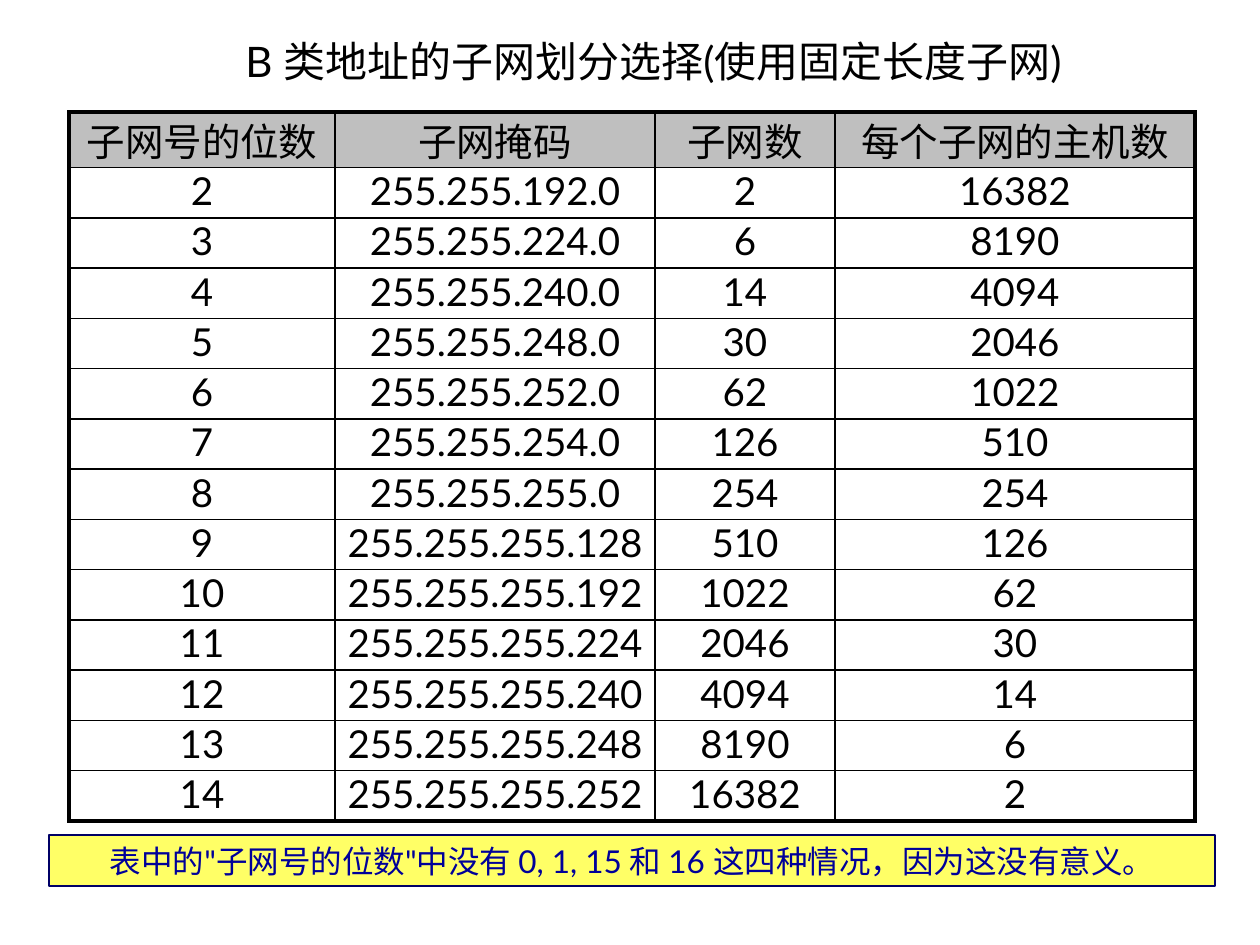
from dataclasses import dataclass

from lxml import etree
from pptx import Presentation
from pptx.dml.color import RGBColor
from pptx.enum.shapes import MSO_SHAPE
from pptx.enum.text import MSO_ANCHOR, MSO_AUTO_SIZE, PP_ALIGN
from pptx.oxml.ns import qn
from pptx.util import Pt

RECTANGLE = MSO_SHAPE.RECTANGLE
TOP, MIDDLE = MSO_ANCHOR.TOP, MSO_ANCHOR.MIDDLE
CENTER = PP_ALIGN.CENTER
NO_AUTOFIT = MSO_AUTO_SIZE.NONE
TITLE_ONLY = 5
EMU_PER_PX = 914400 // 126


@dataclass(frozen=True)
class Theme:
    font: str = "Lato"
    ink: str = "000000"
    header_fill: str = "BFBFBF"
    note_fill: str = "FFFF66"
    note_line: str = "000066"
    note_ink: str = "000099"
    title_size: int = 24
    table_size: int = 22
    note_size: int = 18
    inner_line: float = 1
    outer_line: float = 2.25
    note_line_width: float = 0.75


def px(length):
    return length * EMU_PER_PX


def rgb(value):
    return RGBColor.from_string(value)


def write_text(frame, text, *, font, size, color, align=CENTER):
    para = frame.paragraphs[0]
    para.alignment = align
    span = para.add_run()
    span.text = text
    span.font.name = font
    span.font.size = Pt(size)
    span.font.color.rgb = rgb(color)


def draw_border(cell, side, width, color):
    line = etree.SubElement(cell._tc.get_or_add_tcPr(), qn(f"a:ln{side}"), w=str(Pt(width)))
    fill = etree.SubElement(line, qn("a:solidFill"))
    etree.SubElement(fill, qn("a:srgbClr"), val=color)


class SlideBuilder:
    def __init__(self, page, theme):
        self.page = page
        self.theme = theme

    def place(self, box, left, top, width, height):
        box.left, box.top = px(left), px(top)
        box.width, box.height = px(width), px(height)

    def title(self, text, *area):
        box = self.page.shapes.title
        self.place(box, *area)
        frame = box.text_frame
        frame.word_wrap = True
        frame.auto_size = NO_AUTOFIT
        frame.vertical_anchor = MIDDLE
        write_text(frame, text, font=self.theme.font,
                   size=self.theme.title_size, color=self.theme.ink)

    def table(self, rows, left, top, widths, height):
        theme = self.theme
        last_row, last_column = len(rows) - 1, len(widths) - 1
        grid = self.page.shapes.add_table(
            len(rows), len(widths), px(left), px(top), px(sum(widths)), px(height)).table
        grid.first_row = grid.horz_banding = False
        for column, width in zip(grid.columns, widths):
            column.width = px(width)
        for i, values in enumerate(rows):
            grid.rows[i].height = px(height) // len(rows)
            for j, value in enumerate(values):
                cell = grid.cell(i, j)
                cell.margin_left = cell.margin_right = px(9)
                cell.margin_top = cell.margin_bottom = 0
                cell.vertical_anchor = TOP
                # Heavy frame around the grid, thin lines inside it
                outer = {"L": j == 0, "R": j == last_column,
                         "T": i == 0, "B": i == last_row}
                for side, is_outer in outer.items():
                    width = theme.outer_line if is_outer else theme.inner_line
                    draw_border(cell, side, width, theme.ink)
                if i == 0:
                    cell.fill.solid()
                    cell.fill.fore_color.rgb = rgb(theme.header_fill)
                else:
                    cell.fill.background()
                write_text(cell.text_frame, value, font=theme.font,
                           size=theme.table_size, color=theme.ink)

    def note(self, text, *area):
        theme = self.theme
        box = self.page.shapes.add_shape(RECTANGLE, *map(px, area))
        box.shadow.inherit = False
        box.fill.solid()
        box.fill.fore_color.rgb = rgb(theme.note_fill)
        box.line.color.rgb = rgb(theme.note_line)
        box.line.width = Pt(theme.note_line_width)
        frame = box.text_frame
        frame.word_wrap = True
        frame.vertical_anchor = MIDDLE
        write_text(frame, text, font=theme.font, size=theme.note_size, color=theme.note_ink)


def subnet_row(bits):
    """Bits, mask, subnets and hosts for a class B address."""
    mask = (0xFFFF << (16 - bits)) & 0xFFFF
    return (str(bits), f"255.255.{mask >> 8}.{mask & 255}",
            str(2 ** bits - 2), str(2 ** (16 - bits) - 2))


def main():
    deck = Presentation()
    deck.slide_width, deck.slide_height = px(1260), px(945)
    page = deck.slides.add_slide(deck.slide_layouts[TITLE_ONLY])
    builder = SlideBuilder(page, Theme())

    # Subnet choices
    header = ("子网号的位数", "子网掩码", "子网数", "每个子网的主机数")
    rows = [header] + [subnet_row(bits) for bits in range(2, 15)]
    builder.table(rows, 69, 112, (266, 320, 180, 360), 704)

    # Title
    builder.title("B 类地址的子网划分选择(使用固定长度子网)", 168, 29, 971, 63)

    # Note below the table
    builder.note('表中的"子网号的位数"中没有 0, 1, 15 和 16 这四种情况，因为这没有意义。',
                 49, 835, 1166, 51)

    deck.save("out.pptx")


if __name__ == "__main__":
    main()
